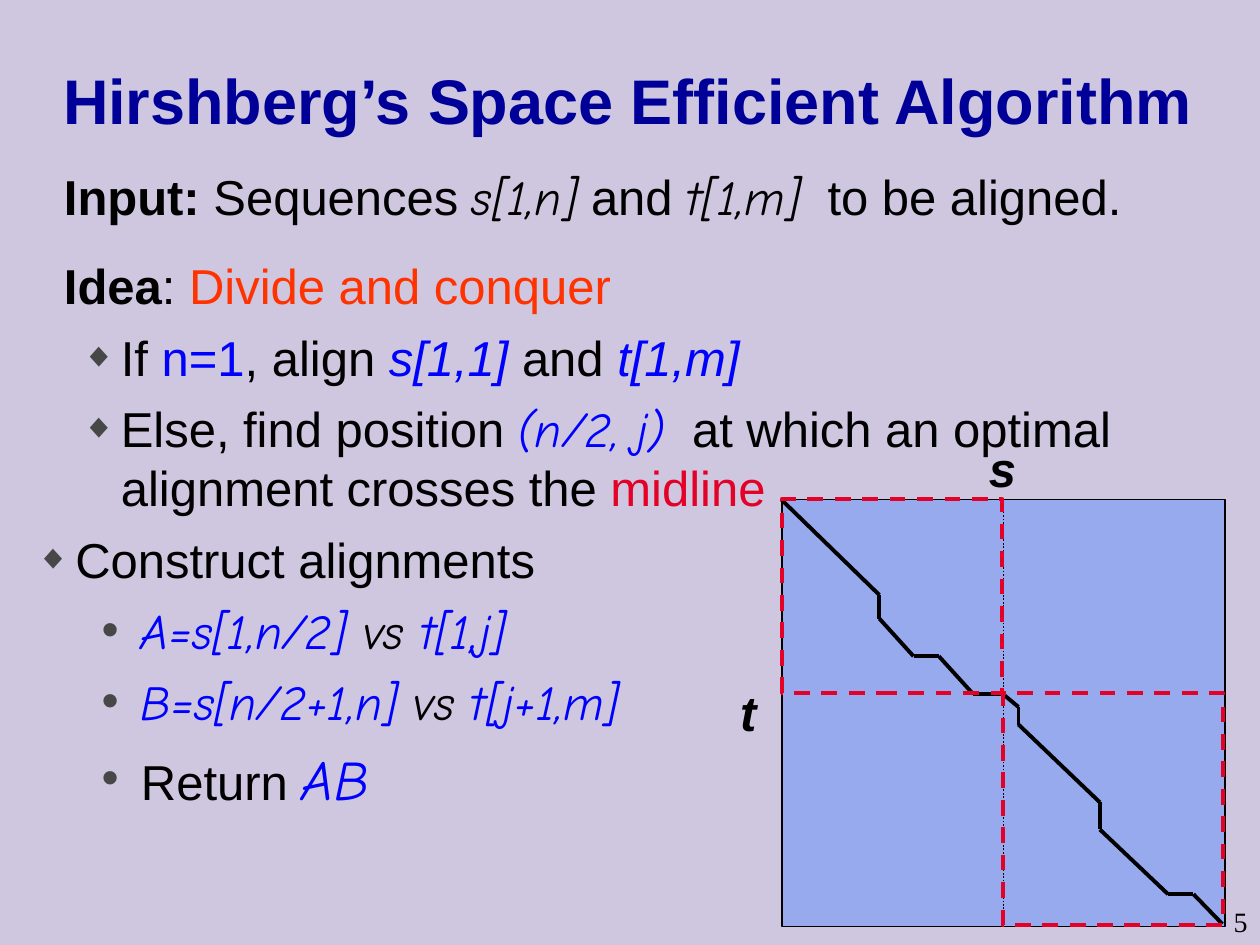
from dataclasses import dataclass, replace
from itertools import pairwise

from lxml.etree import SubElement
from pptx import Presentation
from pptx.dml.color import RGBColor
from pptx.enum.dml import MSO_LINE
from pptx.enum.shapes import MSO_CONNECTOR, MSO_SHAPE
from pptx.enum.text import MSO_ANCHOR, MSO_AUTO_SIZE, PP_ALIGN
from pptx.oxml.ns import qn
from pptx.util import Pt


@dataclass(frozen=True)
class Look:
    color: str = "000000"
    face: str = "Arial"
    size: int = 28
    bold: bool = False
    italic: bool = False


@dataclass(frozen=True)
class Bullet:
    char: str
    left: float
    scale: int = 100
    hang: float = 22.5


@dataclass(frozen=True)
class Theme:
    back: str = "CEC7DF"
    grid: str = "618FFD"
    ink: str = "000000"
    red: str = "E30127"
    mark: str = "474747"
    title: Look = Look("000099", size=36, bold=True)
    plain: Look = Look()
    bold: Look = Look(bold=True)
    axis: Look = Look(bold=True, italic=True)
    math: Look = Look(face="Comic Neue", italic=True)
    blue: Look = Look("0000FF")
    orange: Look = Look("FF3300")
    page: Look = Look(face="Times New Roman", size=16)
    diamond: Bullet = Bullet("◆", 22.5, 70)
    dot: Bullet = Bullet("•", 60)


class Board:
    def __init__(self, slide, theme):
        self.slide = slide
        self.theme = theme
        slide.background.fill.solid()
        slide.background.fill.fore_color.rgb = RGBColor.from_string(theme.back)

    def style(self, font, look):
        font.name, font.size = look.face, Pt(look.size)
        font.bold, font.italic = look.bold, look.italic
        font.color.rgb = RGBColor.from_string(look.color)

    def bullet(self, para, kind):
        props = para._p.get_or_add_pPr()
        props.set("marL", str(Pt(kind.left)))
        props.set("indent", str(-Pt(kind.hang)))
        color = SubElement(props, qn("a:buClr"))
        SubElement(color, qn("a:srgbClr"), val=self.theme.mark)
        SubElement(props, qn("a:buSzPct"), val=str(kind.scale * 1000))
        SubElement(props, qn("a:buFont"), typeface="Arial")
        SubElement(props, qn("a:buChar"), char=kind.char)

    def fill(self, para, parts, align=PP_ALIGN.LEFT, gap=0, bullet=None):
        """Write (text, look) parts into one paragraph."""
        para.alignment = align
        para.space_before = Pt(gap)
        if bullet:
            self.bullet(para, bullet)
        for words, look in parts:
            run = para.add_run()
            run.text = words
            self.style(para.font if len(parts) == 1 else run.font, look)

    def title(self, words, *box):
        shape = self.slide.shapes.title
        shape.left, shape.top, shape.width, shape.height = map(Pt, box)
        frame = shape.text_frame
        frame.auto_size = MSO_AUTO_SIZE.NONE
        frame.vertical_anchor = MSO_ANCHOR.MIDDLE
        self.fill(frame.paragraphs[0], [(words, self.theme.title)],
                  PP_ALIGN.CENTER)

    def text(self, items, *box):
        """Add a wrapped box from (gap, bullet, parts) items."""
        frame = self.slide.shapes.add_textbox(*map(Pt, box)).text_frame
        frame.word_wrap = True
        for i, (gap, bullet, parts) in enumerate(items):
            para = frame.add_paragraph() if i else frame.paragraphs[0]
            self.fill(para, parts, gap=gap, bullet=bullet)

    def label(self, words, look, align, *box):
        frame = self.slide.shapes.add_textbox(*map(Pt, box)).text_frame
        frame.word_wrap = False
        frame.vertical_anchor = MSO_ANCHOR.MIDDLE
        self.fill(frame.paragraphs[0], [(words, look)], align)

    def stroke(self, line, color, width, dash=None):
        line.color.rgb = RGBColor.from_string(color)
        line.width = Pt(width)
        if dash:
            line.dash_style = dash

    def rect(self, box, color, width, dash=None, fill=None, alpha=100):
        shape = self.slide.shapes.add_shape(MSO_SHAPE.RECTANGLE, *map(Pt, box))
        shape.shadow.inherit = False
        self.stroke(shape.line, color, width, dash)
        if fill:
            shape.fill.solid()
            shape.fill.fore_color.rgb = RGBColor.from_string(fill)
            tint = shape._element.spPr.find(f"{qn('a:solidFill')}/{qn('a:srgbClr')}")
            SubElement(tint, qn("a:alpha"), val=str(alpha * 1000))
        else:
            shape.fill.background()
        return shape

    def line(self, start, end, width, dash=None):
        link = self.slide.shapes.add_connector(
            MSO_CONNECTOR.STRAIGHT, *map(Pt, (*start, *end)))
        self.stroke(link.line, self.theme.ink, width, dash)
        SubElement(link._element.spPr, qn("a:effectLst"))
        return link


def graph(board):
    """Draw the alignment grid, its path and the two subproblems."""
    theme = board.theme
    left, top, wide, high = 447, 285.5, 253, 244
    mid = left + wide / 2
    grid = board.rect((left, top, wide, high), theme.ink, 1,
                      fill=theme.grid, alpha=50)
    board.label("s", theme.axis, PP_ALIGN.CENTER, 558, 247, 29.5, 41)
    board.label("t", theme.axis, PP_ALIGN.CENTER, 415.5, 386.5, 24, 41)

    route = [(446.5, 285.5), (502.5, 340), (502.5, 353.5), (522, 375),
             (536.5, 375), (556, 396.5), (573, 396.5), (582, 404),
             (582, 414), (628.5, 458.5), (628.5, 474), (667.5, 511),
             (682, 511), (698.5, 528)]
    for start, end in pairwise(route):
        board.line(start, end, 2.25)

    middle = board.line((mid, top + high), (mid, top), 1, MSO_LINE.ROUND_DOT)
    middle.begin_connect(grid, 2)
    middle.end_connect(grid, 0)
    for box in ((left, 285, 125.5, 111), (573, 396, 126, 132.5)):
        board.rect(box, theme.red, 2.25, MSO_LINE.DASH)


def main():
    deck = Presentation()
    deck.slide_width, deck.slide_height = Pt(720), Pt(540)
    theme = Theme()
    board = Board(deck.slides.add_slide(deck.slide_layouts[5]), theme)
    plain, bold, math, blue = theme.plain, theme.bold, theme.math, theme.blue
    term = replace(blue, italic=True)
    code = replace(math, color=blue.color)

    board.title("Hirshberg’s Space Efficient Algorithm", 27.5, 12, 662.5, 90)
    board.text([
        (7, theme.diamond, [("If ", plain), ("n=1", blue), (", align ", plain),
                            ("s[1,1]", term), (" and ", plain),
                            ("t[1,m]", term)]),
        (7, theme.diamond, [("Else, find position ", plain), ("(n/2, j)", code),
                            ("  at which an optimal alignment crosses the ", plain),
                            ("midline", replace(plain, color=theme.red))]),
    ], 39.5, 183.5, 680.5, 155.5)
    graph(board)
    board.text([
        (7, theme.diamond, [("Construct alignments", plain)]),
        (7, theme.dot, [("A=s[1,n/2] ", code), ("vs", math), (" t[1,j]", code)]),
        (7, theme.dot, [("B=s[n/2+1,n]", code), (" vs ", math),
                        ("t[j+1,m]", code)]),
        (8, theme.dot, [("Return ", plain), ("AB", replace(code, size=32))]),
    ], 13.5, 299, 410.5, 250)
    board.text([
        (17.5, None, [("Input: ", bold), ("Sequences ", plain), ("s[1,n]", math),
                      (" and ", plain), ("t[1,m]", math),
                      ("  to be aligned.", plain)]),
        (17.5, None, [("Idea", bold), (": ", plain),
                      ("Divide and conquer", theme.orange)]),
    ], 29.5, 91.5, 672.5, 92)
    board.label("5", theme.page, PP_ALIGN.RIGHT, 687, 513.5, 33, 26.5)
    deck.save("out.pptx")


if __name__ == "__main__":
    main()
